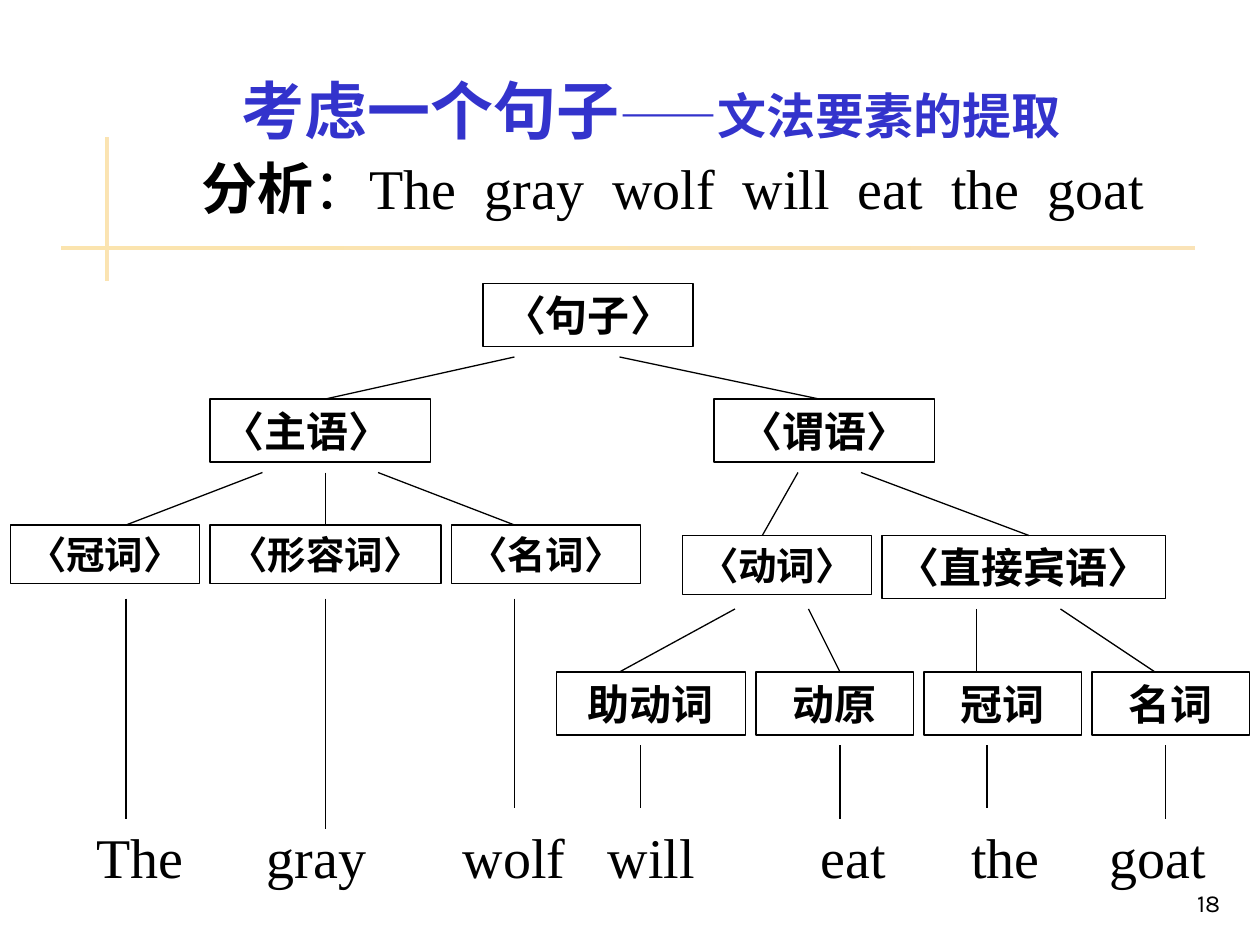
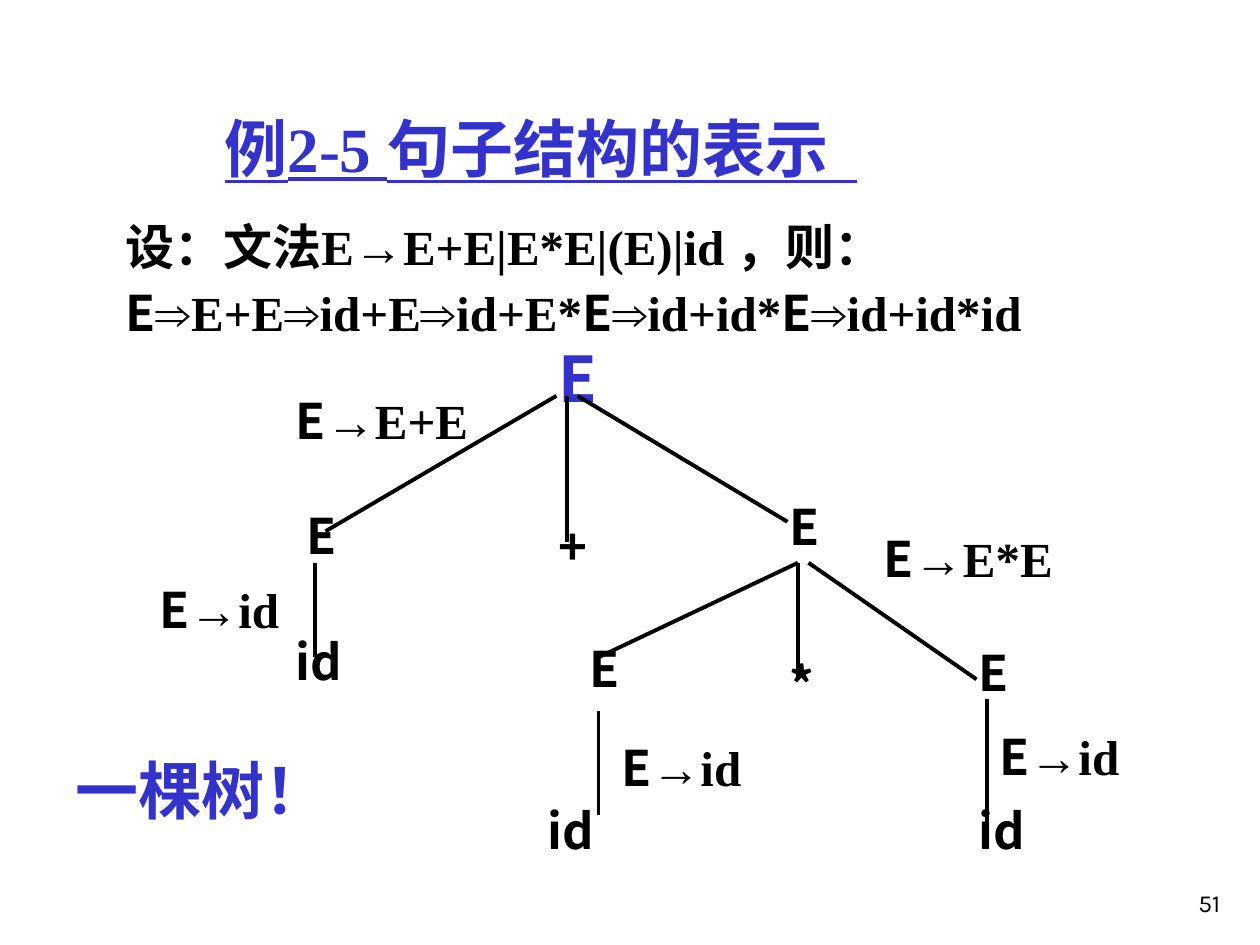
from collections import namedtuple
from lxml.etree import SubElement
from pptx import Presentation
from pptx.dml.color import RGBColor
from pptx.enum.shapes import MSO_CONNECTOR, MSO_SHAPE
from pptx.enum.text import MSO_ANCHOR, MSO_AUTO_SIZE, PP_ALIGN
from pptx.oxml.ns import qn
from pptx.util import Inches, Pt

HUES = {"ink": "000000", "blue": "3333CC", "paper": "FFFFFF", "sand": "FBE4AE", "cream": "FAE3B7"}
TIMES, NOTO, ARIAL, KARLA = "Times New Roman", "Noto Sans CJK SC", "Arial", "Karla"
CELL = Inches(1) / 12
Box = namedtuple("Box", "col row wide high")
PAGE = Box(0, 0, 120, 90)
LEFT, MID, RIGHT = PP_ALIGN.LEFT, PP_ALIGN.CENTER, PP_ALIGN.RIGHT
PAD = {"margin_left": 1.2, "margin_right": 1.2, "margin_top": 0.6, "margin_bottom": 0.6}
FLAT = {**PAD, "margin_top": 0, "margin_bottom": 0}


def hue(name):
    """Return the colour of that name."""
    return RGBColor.from_string(HUES[name])


def cells(*counts):
    """Turn grid cells into lengths."""
    return [round(count * CELL) for count in counts]


def place(box, col, row, wide, high):
    """Return the frame of a part that sits inside a box."""
    return cells(box.col + col, box.row + row, wide, high)


def put(thing, values):
    """Set attributes from a dict."""
    for key, value in values.items():
        setattr(thing, key, value)


def add_run(para, words, face, size, tint="ink", **style):
    """Add a run with its Latin and Asian fonts."""
    run = para.add_run()
    run.text = words
    put(run.font, {"name": face, "size": Pt(size), **style})
    run.font.color.rgb = hue(tint)
    asian = SubElement(run.font._element, qn("a:ea"))
    asian.set("typeface", NOTO if max(words) > "⿿" else face)


def set_text(shape, runs, align=LEFT, anchor=MSO_ANCHOR.TOP, pad=PAD):
    """Fill a shape with one paragraph of runs."""
    frame = shape.text_frame
    put(frame, {"word_wrap": True, "auto_size": MSO_AUTO_SIZE.NONE, "vertical_anchor": anchor})
    put(frame, {side: cells(gap)[0] for side, gap in pad.items()})
    para = frame.paragraphs[0]
    para.alignment = align
    for words, face, size, *rest in runs:
        add_run(para, words, face, size, *rest[:1], **(rest[1] if rest[1:] else {}))
    return para


def add_text(slide, frame, runs, **style):
    """Add a text box."""
    return set_text(slide.shapes.add_textbox(*frame), runs, **style)


def add_rect(slide, frame):
    """Add a plain rectangle without shadow."""
    rect = slide.shapes.add_shape(MSO_SHAPE.RECTANGLE, *frame)
    rect.shadow.inherit = False
    return rect


def add_lines(slide, box, ends, width):
    """Draw straight lines between grid points."""
    for x1, y1, x2, y2 in ends:
        points = cells(box.col + x1, box.row + y1, box.col + x2, box.row + y2)
        line = slide.shapes.add_connector(MSO_CONNECTOR.STRAIGHT, *points)
        line.line.color.rgb = hue("ink")
        line.line.width = Pt(width)
        SubElement(line._element.spPr, qn("a:effectLst"))


def start(deck, number, frame, runs, **style):
    """Add a slide with its title and number."""
    slide = deck.slides.add_slide(deck.slide_layouts[5])
    title = slide.shapes.title
    put(title, dict(zip(("left", "top", "width", "height"), frame)))
    set_text(title, runs, align=MID, **style)
    add_text(slide, place(PAGE, 92.4, 82, 25, 6), [(number, KARLA, 14)],
             align=RIGHT, anchor=MSO_ANCHOR.BOTTOM)
    return slide


def add_cross(slide, box):
    """Draw the two crossing bands."""
    for part in ((4.2, 0, 0.4, 13.8), (0, 10.4, box.wide, 0.4)):
        band = add_rect(slide, place(box, *part))
        band.fill.gradient()
        band.fill.gradient_angle = 0
        for stop, name in zip(band.fill.gradient_stops, ("sand", "cream")):
            stop.color.rgb = hue(name)
        band.line.fill.background()


def add_node(slide, box, words, col, row, wide, size=24, align=MID):
    """Add a framed grammar term."""
    node = add_rect(slide, place(box, col, row, wide, size / 4 if size == 24 else 5.6))
    node.fill.solid()
    node.fill.fore_color.rgb = hue("paper")
    node.line.color.rgb = hue("ink")
    node.line.width = Pt(0.75)
    set_text(node, [(words, TIMES, size, "ink", {"bold": True})], align, MSO_ANCHOR.MIDDLE, FLAT)


def add_words(slide, box):
    """Set the words of the sentence on tab stops."""
    para = add_text(slide, place(box, 8, 50.7, 111, 7.7),
                    [("The\tgray\twolf\twill\teat\tthe\tgoat", TIMES, 32)],
                    anchor=MSO_ANCHOR.MIDDLE, pad=FLAT)
    stops = SubElement(para._p.get_or_add_pPr(), qn("a:tabLst"))
    for stop in cells(16.2, 34.9, 48.7, 69, 83.3, 96.5):
        SubElement(stops, qn("a:tab"), pos=str(stop), algn="l")


def parse_tree(slide, box):
    """Draw the grammar tree of the sentence."""
    for node in (("〈句子〉", 46, 0, 20), ("〈主语〉", 20, 11, 21, 24, LEFT), ("〈谓语〉", 68, 11, 21),
                 ("〈冠词〉", 1, 23, 18, 22), ("〈形容词〉", 20, 23, 22, 22), ("〈名词〉", 43, 23, 18, 22),
                 ("〈动词〉", 65, 24, 18, 22), ("〈直接宾语〉", 84, 24, 27), ("助动词", 53, 37, 18),
                 ("动原", 72, 37, 15), ("冠词", 88, 37, 15), ("名词", 104, 37, 15)):
        add_node(slide, box, *node)
    add_words(slide, box)
    tiers = {(7, 11): ((49, 31), (59, 78)), (18, 23): ((25, 12), (31, 31), (36, 49)),
             (18, 24): ((76, 72.6), (82, 98)),
             (31, 37): ((70, 59), (77, 80), (93, 93), (101, 110)),
             (30, 50): ((49, 49),), (30, 51): ((12, 12),), (30, 52): ((31, 31),),
             (44, 50): ((61, 61), (94, 94)), (44, 51): ((80, 80), (111, 111))}
    ends = [(x1, y1, x2, y2) for (y1, y2), pairs in tiers.items() for x1, x2 in pairs]
    add_lines(slide, box, ends, 0.75)


def add_sign(slide, box, words, col, row, size=28, tint="ink"):
    """Add a symbol, or a rule whose head has its own font."""
    head, arrow, tail = words.partition("→")
    bold = {"bold": True}
    runs = [(head, NOTO, size, tint, bold)]
    if arrow:
        runs.append((arrow + tail, TIMES, size, tint, bold))
    add_text(slide, place(box, col, row, 20, 7.3), runs)


def derive_tree(slide, box):
    """Draw the derivation tree with its rules."""
    for sign in (("E", 52, 1.7, 36, "blue"), ("E", 28, 17.6), ("+", 52, 18.6), ("E", 74, 16.7),
                 ("E→E+E", 27, 6.6), ("id", 27, 29.6), ("E→id", 14, 24.6), ("E", 55, 30.2),
                 ("E", 92, 30.6), ("*", 74, 31.7), ("E→E*E", 83, 19.7), ("id", 51, 45.6),
                 ("E→id", 58, 39.6), ("id", 92, 45.6), ("E→id", 94, 38.6)):
        add_sign(slide, box, *sign)
    add_lines(slide, box, ((31, 20.6, 53, 7.7), (75, 19.7, 55, 7.7), (54, 21.6, 54, 7.7),
                           (30, 32.6, 30, 23.6), (57, 32.6, 76, 23.6), (76, 23.6, 76, 34.7),
                           (77, 23.6, 93, 34.7), (57, 37.7, 57, 47.6), (94, 36.6, 94, 48.6)), 2.25)


def add_steps(slide, frame):
    """State the grammar and the steps of the derivation."""
    bold = {"bold": True}
    para = add_text(slide, frame, [(words, TIMES, 28, "ink", bold) for words in
                                   ("设：文法", "E→E+E|E*E|(E)|id ", "，则：")])
    para.line_spacing = Pt(37.5)
    para.add_line_break()
    faces = {"E": NOTO, "⇒": ARIAL}
    for words in ("E", "⇒", "E+E", "⇒", "id+E", "⇒", "id+E*", "E", "⇒", "id+id*", "E", "⇒", "id+id*id"):
        add_run(para, words, faces.get(words, TIMES), 28, **bold)


def wolf_slide(deck):
    """Build the slide that parses a sentence."""
    bold = {"bold": True}
    slide = start(deck, "18", place(PAGE, 11, 3, 102, 11),
                  [("考虑一个句子", TIMES, 36, "blue", bold), ("——文法要素的提取", TIMES, 28, "blue", bold)],
                  anchor=MSO_ANCHOR.BOTTOM, pad=dict.fromkeys(PAD, 0))
    add_cross(slide, Box(5.8, 13, 108, 14))
    add_text(slide, place(PAGE, 18, 14, 97, 7.7),
             [("分析", NOTO, 32, "ink", bold), ("：", NOTO, 32),
              ("The  gray  wolf  will  eat  the  goat", TIMES, 32)],
             anchor=MSO_ANCHOR.MIDDLE, pad=FLAT)
    parse_tree(slide, Box(0, 27, 120, 58))


def rule_slide(deck):
    """Build the slide that shows a derivation as a tree."""
    bold = {"bold": True}
    slide = start(deck, "51", place(PAGE, 10, 7, 83, 14),
                  [("例2-5 句子结构的表示  ", TIMES, 36, "blue", {**bold, "underline": True})],
                  anchor=MSO_ANCHOR.MIDDLE)
    derive_tree(slide, Box(0, 30, 120, 53))
    add_steps(slide, place(PAGE, 10.8, 19.4, 99, 13.6))
    add_text(slide, place(PAGE, 6, 71, 36, 9), [("一棵树！", NOTO, 36, "blue", bold)])


def main():
    """Build and save the deck."""
    deck = Presentation()
    deck.slide_width, deck.slide_height = cells(PAGE.wide, PAGE.high)
    wolf_slide(deck)
    rule_slide(deck)
    deck.save("out.pptx")


if __name__ == "__main__":
    main()
